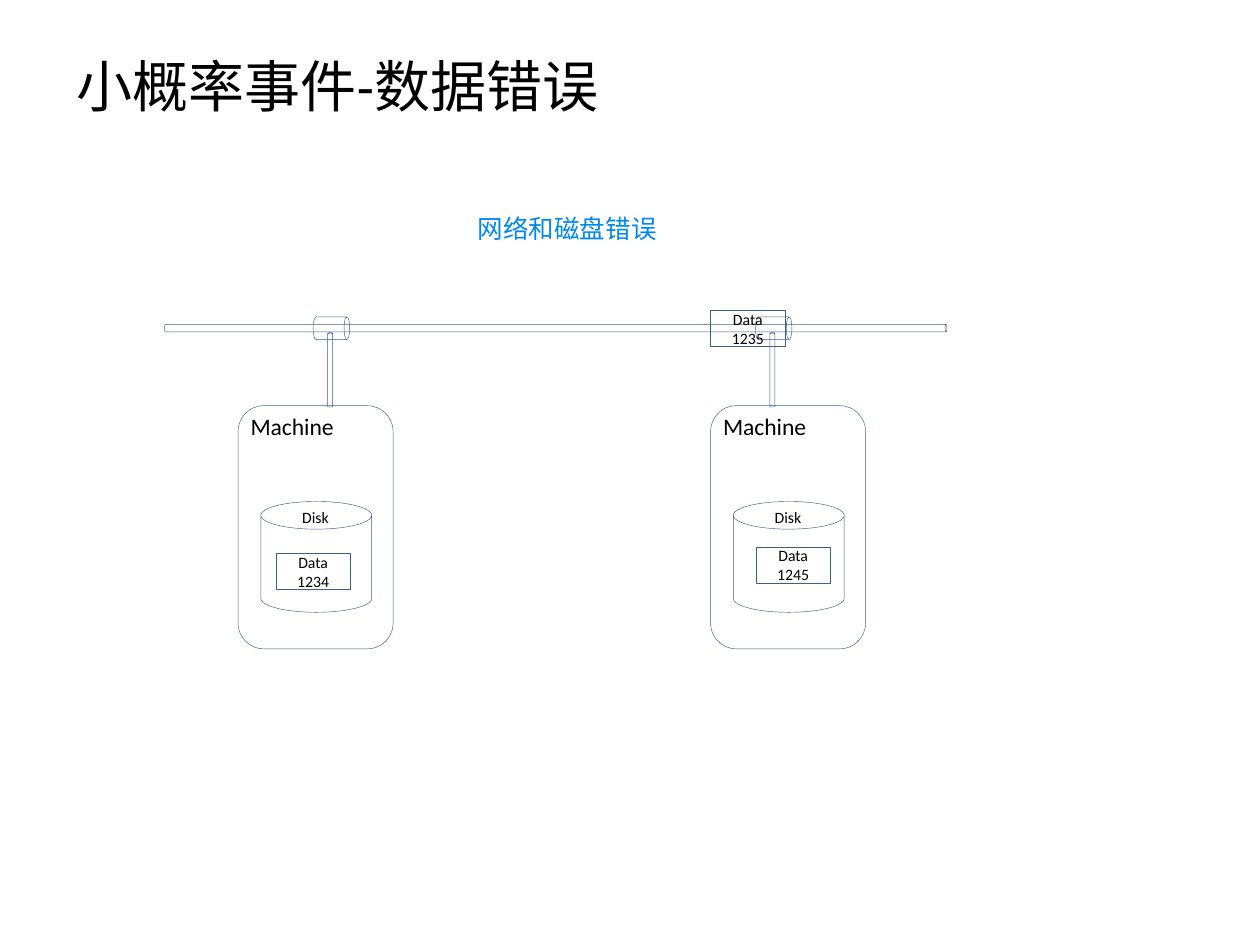
from lxml.etree import SubElement
from pptx import Presentation
from pptx.dml.color import RGBColor
from pptx.enum.shapes import MSO_SHAPE
from pptx.enum.text import MSO_ANCHOR, PP_ALIGN
from pptx.oxml.ns import qn
from pptx.util import Inches, Pt

TITLE = ("小概率事件-数据错误", (0.51, 0.36, 8.43, 0.64))
SUBTITLE = ("网络和磁盘错误", (3.72, 1.53, 1.63, 0.47))
MACHINES = [
    {"left": 1.89, "plug": 2.54, "cable": 2.6},
    {"left": 5.64, "plug": 6.05, "cable": 6.11},
]
PACKETS = [("1234", 2.19, 4.39), ("1235", 5.64, 2.46), ("1245", 6.0, 4.34)]
BUS = (4.38, -0.5, 0.06, 6.21)
MACHINE_TOP = 3.22
DISK_TOP = 3.98

THEME = {
    "line": RGBColor(0x3A, 0x5F, 0x8C),
    "line_width": Pt(0.25),
    "cjk": "Noto Sans CJK SC",
    "title": {"name": "Calibri", "size": Pt(32), "color": RGBColor(0, 0, 0)},
    "subtitle": {"name": "Noto Sans CJK SC", "size": Pt(14.6), "color": RGBColor(0, 0x88, 0xEE)},
    "machine": {"name": "Calibri", "size": Pt(13.5), "color": RGBColor(0, 0, 0)},
    "data": {"name": "Calibri", "size": Pt(9), "color": RGBColor(0, 0, 0)},
}


def write(p, text, style):
    r = p.add_run()
    r.text = text
    for key, value in THEME[style].items():
        if key == "color":
            r.font.color.rgb = value
        else:
            setattr(r.font, key, value)
    if not text.isascii():
        SubElement(r._r.get_or_add_rPr(), qn("a:ea")).set("typeface", THEME["cjk"])


def add_outline(shapes, kind, box, rotation=0):
    sp = shapes.add_shape(kind, *map(Inches, box))
    sp.rotation = rotation
    sp.shadow.inherit = False
    sp.fill.background()
    sp.line.color.rgb = THEME["line"]
    sp.line.width = THEME["line_width"]
    return sp


def add_label(shapes, text, box, style):
    tf = shapes.add_textbox(*map(Inches, box)).text_frame
    tf.word_wrap = True
    write(tf.paragraphs[0], text, style)
    return tf


def add_machine(shapes, left):
    group = shapes.add_group_shape().shapes
    add_outline(group, MSO_SHAPE.ROUNDED_RECTANGLE, (left, MACHINE_TOP, 1.23, 1.93))
    add_label(group, "Machine", (left, MACHINE_TOP, 0.88, 0.33), "machine")
    add_outline(group, MSO_SHAPE.CAN, (left + 0.18, DISK_TOP, 0.88, 0.88))
    add_label(group, "Disk", (left + 0.41, DISK_TOP, 0.53, 0.25), "data")


def add_packet(shapes, value, left, top):
    tf = add_outline(shapes, MSO_SHAPE.RECTANGLE, (left, top, 0.59, 0.29)).text_frame
    tf.vertical_anchor = MSO_ANCHOR.MIDDLE
    for p, text in ((tf.paragraphs[0], "Data"), (tf.add_paragraph(), value)):
        p.alignment = PP_ALIGN.CENTER
        write(p, text, "data")


def main():
    """Build the slide on network and disk data errors."""
    prs = Presentation()
    prs.slide_width, prs.slide_height = Inches(10), Inches(7.5)
    s = prs.slides.add_slide(prs.slide_layouts[6])

    network = s.shapes.add_group_shape().shapes
    add_outline(network, MSO_SHAPE.CAN, BUS, 90)
    for machine in MACHINES:
        add_outline(network, MSO_SHAPE.CAN, (machine["plug"], 2.46, 0.18, 0.29), 90)
    for machine in MACHINES:
        add_machine(s.shapes, machine["left"])
        add_outline(s.shapes, MSO_SHAPE.CAN, (machine["cable"], 2.64, 0.04, 0.59))
    for packet in PACKETS:
        add_packet(s.shapes, *packet)

    tf = add_label(s.shapes, *SUBTITLE, "subtitle")
    tf.paragraphs[0].line_spacing = 1.5
    margins = {"margin_left": 0.07, "margin_right": 0.07, "margin_top": 0.04, "margin_bottom": 0.04}
    for key, value in margins.items():
        setattr(tf, key, Inches(value))
    add_label(s.shapes, *TITLE, "title")
    prs.save("out.pptx")


if __name__ == "__main__":
    main()
